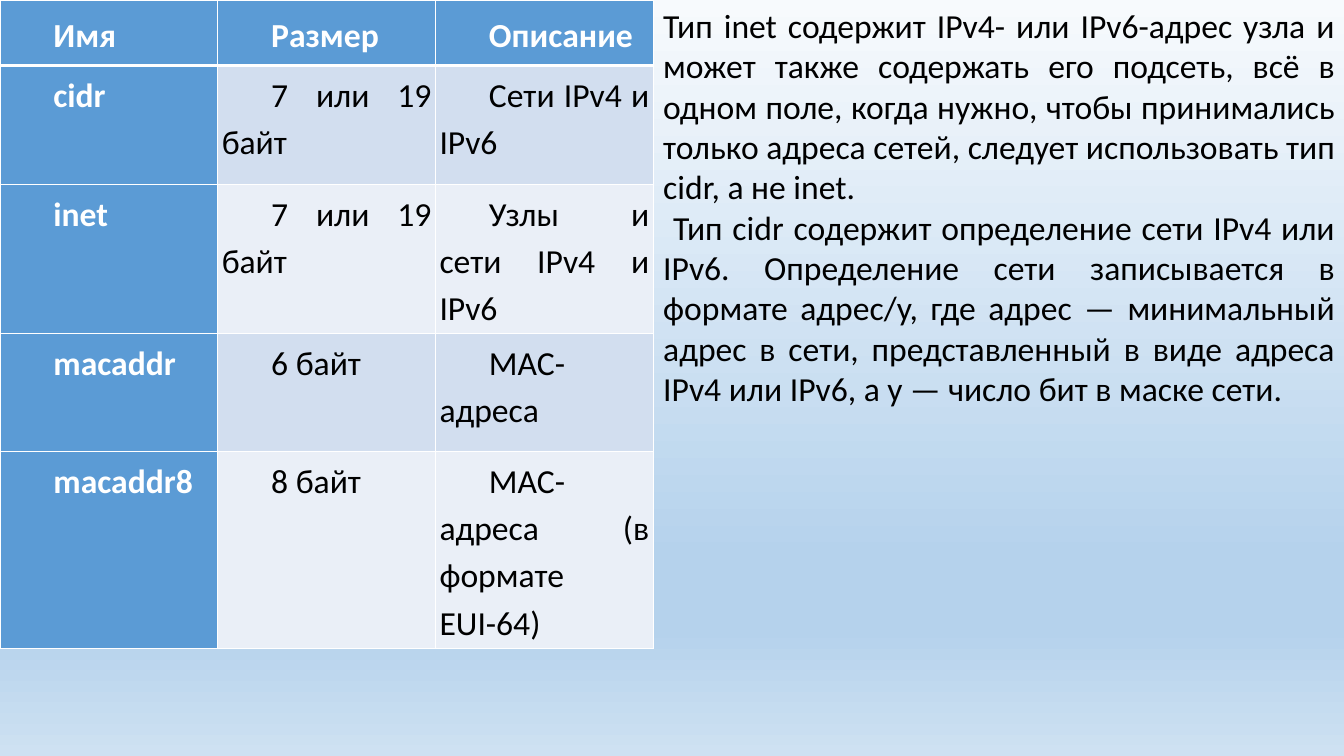
from dataclasses import dataclass

import pptx
import pptx.dml.color
import pptx.enum.text
import pptx.oxml
import pptx.oxml.ns
import pptx.util
from lxml import etree

Inches = pptx.util.Inches
Pt = pptx.util.Pt
RGBColor = pptx.dml.color.RGBColor
qn = pptx.oxml.ns.qn

WHITE = RGBColor(0xFF, 0xFF, 0xFF)
BLACK = RGBColor(0x00, 0x00, 0x00)
BLUE = RGBColor(0x5B, 0x9B, 0xD5)
BANDS = (RGBColor(0xD2, 0xDE, 0xEF), RGBColor(0xEA, 0xEF, 0xF7))
SKY_STOPS = (
    (0, RGBColor(0xF7, 0xFA, 0xFD)),
    (74, RGBColor(0xB5, 0xD2, 0xEC)),
    (83, RGBColor(0xB5, 0xD2, 0xEC)),
    (100, RGBColor(0xCE, 0xE1, 0xF2)),
)


@dataclass
class TypeRow:
    name: str
    size: str
    description: str
    height: float


ROWS = (
    TypeRow("Имя", "Размер", "Описание", 0.65),
    TypeRow("cidr", "7 или 19 байт", "Сети IPv4 и IPv6", 1.18),
    TypeRow("inet", "7 или 19 байт", "Узлы и сети IPv4 и IPv6", 1.18),
    TypeRow("macaddr", "6 байт", "MAC-адреса", 1.17),
    TypeRow("macaddr8", "8 байт", "MAC-адреса (в формате EUI-64)", 1.71),
)
COLUMN_WIDTHS = (2.16, 2.16, 2.16)
NOTES = (
    "Тип inet содержит IPv4- или IPv6-адрес узла и может также содержать его "
    "подсеть, всё в одном поле, когда нужно, чтобы принимались только адреса "
    "сетей, следует использовать тип cidr, а не inet.",
    " Тип cidr содержит определение сети IPv4 или IPv6. Определение сети "
    "записывается в формате адрес/y, где адрес — минимальный адрес в сети, "
    "представленный в виде адреса IPv4 или IPv6, а y — число бит в маске сети.",
)


def write(p, text: str, *, color=BLACK, bold=False, indent=0.0, spacing=None) -> None:
    """Put justified, formatted text in a paragraph."""
    p.alignment = pptx.enum.text.PP_ALIGN.JUSTIFY
    p.line_spacing = spacing
    if indent:
        p._p.get_or_add_pPr().set("indent", str(Inches(indent)))
    r = p.add_run()
    r.text = text
    r.font.name = "Calibri"
    r.font.size = Pt(24)
    r.font.bold = bold
    r.font.color.rgb = color


def set_borders(cell, widths: dict[str, float]) -> None:
    """Draw white cell borders; they come before the fill in the XML."""
    tcPr = cell._tc.get_or_add_tcPr()
    for i, (side, width) in enumerate(widths.items()):
        ln = etree.Element(qn(f"a:ln{side}"), w=str(Pt(width)))
        fill = etree.SubElement(ln, qn("a:solidFill"))
        etree.SubElement(fill, qn("a:srgbClr"), val=str(WHITE))
        tcPr.insert(i, ln)


def set_background(s) -> None:
    """Fill the slide with a top-to-bottom gradient."""
    fill = s.background.fill
    fill.gradient()
    fill.gradient_angle = 270
    stops = s.element.find(".//" + qn("a:gsLst"))
    for stop in list(stops):
        stops.remove(stop)
    for position, color in SKY_STOPS:
        stop = etree.SubElement(stops, qn("a:gs"), pos=str(position * 1000))
        etree.SubElement(stop, qn("a:srgbClr"), val=str(color))


def add_type_table(s) -> None:
    """Add the table of network address types."""
    table = s.shapes.add_table(
        len(ROWS), len(COLUMN_WIDTHS), 0, 0,
        Inches(sum(COLUMN_WIDTHS)), Inches(sum(row.height for row in ROWS)),
    ).table
    for column, width in zip(table.columns, COLUMN_WIDTHS):
        column.width = Inches(width)
    for i, row in enumerate(ROWS):
        table.rows[i].height = Inches(row.height)
        for j, text in enumerate((row.name, row.size, row.description)):
            cell = table.cell(i, j)
            is_heading = i == 0 or j == 0
            cell.margin_left = cell.margin_right = Inches(0.04)
            cell.margin_top = cell.margin_bottom = Inches(0.04)
            if i == 0:
                cell.vertical_anchor = pptx.enum.text.MSO_ANCHOR.MIDDLE
            cell.fill.solid()
            cell.fill.fore_color.rgb = BLUE if is_heading else BANDS[(i - 1) % 2]
            set_borders(cell, {"L": 1, "R": 1, "T": 3 if i == 1 else 1, "B": 3 if i == 0 else 1})
            write(cell.text_frame.paragraphs[0], text, color=WHITE if is_heading else BLACK,
                  bold=is_heading, indent=0.49, spacing=1.15)


def add_notes(s) -> None:
    """Add the explanation beside the table."""
    tf = s.shapes.add_textbox(Inches(6.48), 0, Inches(6.86), Inches(4.14)).text_frame
    tf.word_wrap = True
    tf.auto_size = pptx.enum.text.MSO_AUTO_SIZE.SHAPE_TO_FIT_TEXT
    for i, text in enumerate(NOTES):
        write(tf.paragraphs[0] if i == 0 else tf.add_paragraph(), text)


def main() -> None:
    prs = pptx.Presentation()
    prs.slide_width = Inches(13.33)
    prs.slide_height = Inches(7.5)
    s = prs.slides.add_slide(prs.slide_layouts[6])
    set_background(s)
    add_type_table(s)
    add_notes(s)
    prs.save("out.pptx")


if __name__ == "__main__":
    main()
